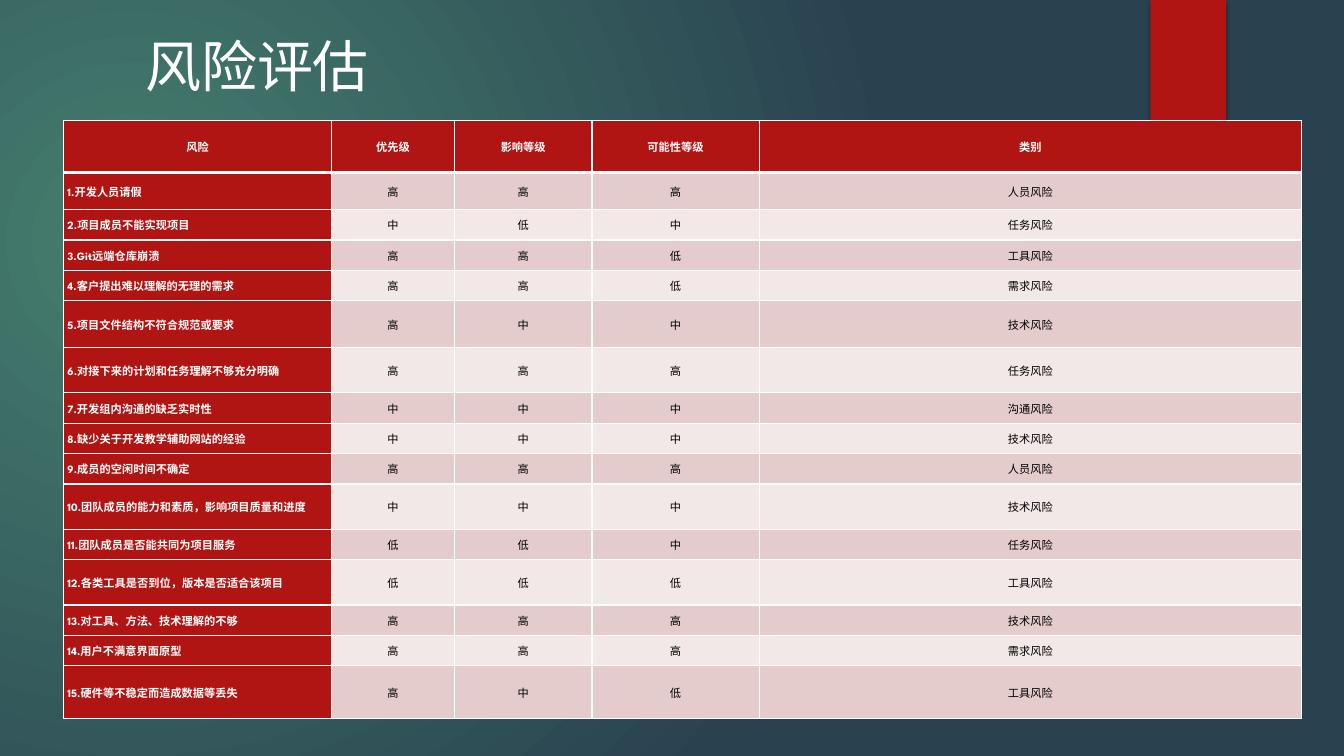
from lxml.etree import SubElement
from pptx import Presentation
from pptx.dml.color import RGBColor
from pptx.enum.shapes import MSO_SHAPE
from pptx.enum.text import MSO_ANCHOR, MSO_AUTO_SIZE, PP_ALIGN
from pptx.oxml import parse_xml
from pptx.oxml.ns import nsdecls, qn
from pptx.util import Pt

TITLE = "风险评估"
HEADER = ("风险", "优先级", "影响等级", "可能性等级", "类别")
RISKS = [
    ("1.开发人员请假", "高", "高", "高", "人员风险"),
    ("2.项目成员不能实现项目", "中", "低", "中", "任务风险"),
    ("3.Git远端仓库崩溃", "高", "高", "低", "工具风险"),
    ("4.客户提出难以理解的无理的需求", "高", "高", "低", "需求风险"),
    ("5.项目文件结构不符合规范或要求", "高", "中", "中", "技术风险"),
    ("6.对接下来的计划和任务理解不够充分明确", "高", "高", "高", "任务风险"),
    ("7.开发组内沟通的缺乏实时性", "中", "中", "中", "沟通风险"),
    ("8.缺少关于开发教学辅助网站的经验", "中", "中", "中", "技术风险"),
    ("9.成员的空闲时间不确定", "高", "高", "高", "人员风险"),
    ("10.团队成员的能力和素质，影响项目质量和进度", "中", "中", "中", "技术风险"),
    ("11.团队成员是否能共同为项目服务", "低", "低", "中", "任务风险"),
    ("12.各类工具是否到位，版本是否适合该项目", "低", "低", "低", "工具风险"),
    ("13.对工具、方法、技术理解的不够", "高", "高", "高", "技术风险"),
    ("14.用户不满意界面原型", "高", "高", "高", "需求风险"),
    ("15.硬件等不稳定而造成数据等丢失", "高", "中", "低", "工具风险"),
]
THEME = {
    "font": "League Spartan", "title": 40, "cell": 8,
    "white": "FFFFFF", "black": "000000", "red": "B01513",
    "bands": ("E4CCCC", "F2E8E7"),
    "backdrop": [(0, "457F6E", 100), (100, "294250", 100)],
    "glow": [(0, "50B9C1", 7), (36, "50B9C1", 6), (69, "50B9C1", 0)],
}
COLUMNS = (191.5, 87.8, 98.2, 119.4, 387.4)
SHORT, TALL = 21.7, 32.4
ROW_HEIGHTS = {0: 37.4, 1: 26.6, 5: 33.4, 6: TALL, 10: TALL, 12: TALL, 15: 37.6}


def rgb(color):
    return RGBColor.from_string(color)


def assign(obj, **values):
    for name, value in values.items():
        setattr(obj, name, value)


def style(p, size, color, bold, align):
    p.alignment = align
    for r in p.runs:
        assign(r.font, name=THEME["font"], size=Pt(size), bold=bold)
        r.font.color.rgb = rgb(color)


def radial(fill, element, stops, focus):
    fill.gradient()
    old = element.find(".//" + qn("a:gradFill"))
    stop_xml = "".join(
        f'<a:gs pos="{pos * 1000}"><a:srgbClr val="{color}">'
        f'<a:alpha val="{alpha * 1000}"/></a:srgbClr></a:gs>'
        for pos, color, alpha in stops)
    left, top, right, bottom = (v * 1000 for v in focus)
    new = parse_xml(
        f'<a:gradFill {nsdecls("a")} rotWithShape="1"><a:gsLst>{stop_xml}</a:gsLst>'
        f'<a:path path="circle"><a:fillToRect l="{left}" t="{top}" r="{right}" '
        f'b="{bottom}"/></a:path></a:gradFill>')
    old.getparent().replace(old, new)


def plain_shape(s, kind, *box):
    sp = s.shapes.add_shape(kind, *map(Pt, box))
    sp.shadow.inherit = False
    sp.line.fill.background()
    return sp


def border(cell, row):
    tcPr = cell._tc.get_or_add_tcPr()
    widths = {"L": 1, "R": 1, "T": 3 if row == 1 else 1, "B": 3 if row == 0 else 1}
    for i, (side, width) in enumerate(widths.items()):
        tcPr.insert(i, parse_xml(
            f'<a:ln{side} {nsdecls("a")} w="{Pt(width)}"><a:solidFill>'
            f'<a:srgbClr val="{THEME["white"]}"/></a:solidFill></a:ln{side}>'))


def add_backdrop(s):
    radial(s.background.fill, s._element, THEME["backdrop"], (45, 65, 125, 100))
    glow = plain_shape(s, MSO_SHAPE.OVAL, 677.5, 131.8, 221.8, 221.8)
    radial(glow.fill, glow._element, THEME["glow"], (50, 50, 50, 50))
    banner = plain_shape(s, MSO_SHAPE.RECTANGLE, 821.8, 0, 54, 90)
    banner.fill.solid()
    banner.fill.fore_color.rgb = rgb(THEME["red"])
    effects = banner._element.spPr.find(qn("a:effectLst"))
    shadow = SubElement(effects, qn("a:outerShdw"), blurRad=str(Pt(3)),
                        dist=str(Pt(2)), dir="5400000", rotWithShape="0")
    color = SubElement(shadow, qn("a:srgbClr"), val=THEME["black"])
    SubElement(color, qn("a:alpha"), val="45000")


def add_title(s):
    sp = s.shapes.title
    assign(sp, left=Pt(96.5), top=Pt(18.7), width=Pt(176.4), height=Pt(55.4))
    tf = sp.text_frame
    tf.text = TITLE
    assign(tf, word_wrap=False, auto_size=MSO_AUTO_SIZE.SHAPE_TO_FIT_TEXT,
           vertical_anchor=MSO_ANCHOR.TOP)
    style(tf.paragraphs[0], THEME["title"], THEME["white"], False, PP_ALIGN.LEFT)


def add_risks(s):
    rows = [HEADER, *RISKS]
    heights = [ROW_HEIGHTS.get(i, SHORT) for i in range(len(rows))]
    frame = s.shapes.add_table(len(rows), len(COLUMNS), Pt(45.4), Pt(85.8),
                               Pt(sum(COLUMNS)), Pt(sum(heights)))
    table = frame.table
    table.horz_banding = False
    for column, width in zip(table.columns, COLUMNS):
        column.width = Pt(width)
    for i, (values, height) in enumerate(zip(rows, heights)):
        table.rows[i].height = Pt(height)
        for j, value in enumerate(values):
            cell = table.cell(i, j)
            cell.text = value
            assign(cell, vertical_anchor=MSO_ANCHOR.MIDDLE, margin_left=Pt(2.8),
                   margin_right=Pt(2.8), margin_top=0, margin_bottom=0)
            strong = i == 0 or j == 0
            cell.fill.solid()
            cell.fill.fore_color.rgb = rgb(
                THEME["red"] if strong else THEME["bands"][(i - 1) % 2])
            border(cell, i)
            style(cell.text_frame.paragraphs[0], THEME["cell"],
                  THEME["white"] if strong else THEME["black"], strong,
                  PP_ALIGN.JUSTIFY if i and j == 0 else PP_ALIGN.CENTER)


def main():
    prs = Presentation()
    assign(prs, slide_width=Pt(960), slide_height=Pt(540))
    s = prs.slides.add_slide(prs.slide_layouts[5])
    add_backdrop(s)
    add_title(s)
    add_risks(s)
    prs.save("out.pptx")


if __name__ == "__main__":
    main()
